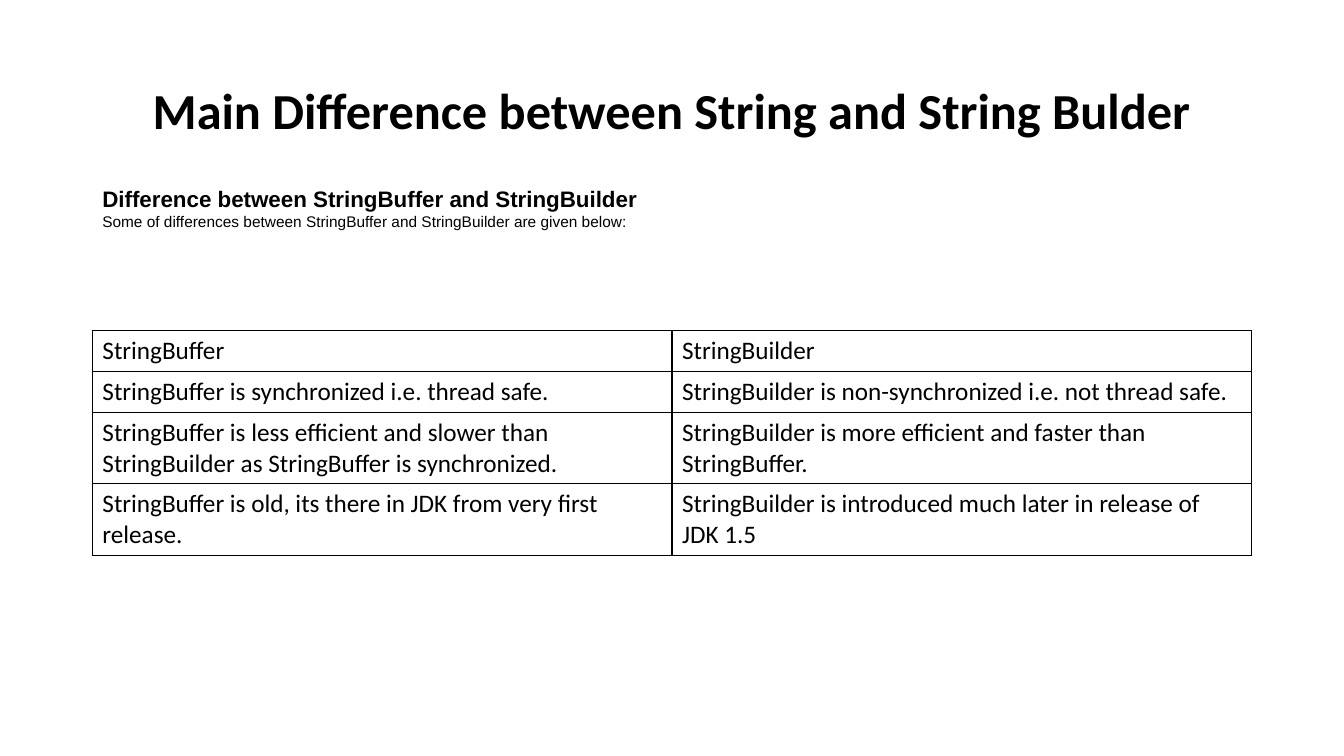
from lxml import etree
from pptx import Presentation
from pptx.dml.color import RGBColor
from pptx.enum import text
from pptx.oxml import ns
from pptx.util import Pt

COLORS = {"ink": "000000", "border": "000000"}
LEFT, WIDTH = 66, 828


def write(p, content, size=18, font="Calibri", bold=False, align=text.PP_ALIGN.LEFT, spacing=None):
    """Add one formatted run to a paragraph."""
    p.alignment = align
    p.line_spacing = spacing
    r = p.add_run()
    r.text = content
    r.font.size = Pt(size)
    r.font.name = font
    r.font.bold = bold
    r.font.color.rgb = RGBColor.from_string(COLORS["ink"])


def add_borders(cell, width=1):
    """Draw a solid line on all four sides of a table cell."""
    props = cell._tc.get_or_add_tcPr()
    for i, side in enumerate(("lnL", "lnR", "lnT", "lnB")):
        ln = etree.Element(ns.qn(f"a:{side}"), w=str(Pt(width)))
        fill = etree.SubElement(ln, ns.qn("a:solidFill"))
        etree.SubElement(fill, ns.qn("a:srgbClr"), val=COLORS["border"])
        props.insert(i, ln)


prs = Presentation()
prs.slide_width, prs.slide_height = Pt(960), Pt(540)
s = prs.slides.add_slide(prs.slide_layouts[6])

# Title
title = s.shapes.add_textbox(Pt(LEFT), Pt(28.8), Pt(WIDTH), Pt(104.4))
tf = title.text_frame
tf.word_wrap = True
tf.vertical_anchor = text.MSO_ANCHOR.MIDDLE
write(tf.paragraphs[0], "Main Difference between String and String Bulder",
      size=36, bold=True, align=text.PP_ALIGN.CENTER, spacing=0.9)

# Comparison table
rows = [
    ("StringBuffer", "StringBuilder"),
    ("StringBuffer is synchronized i.e. thread safe.",
     "StringBuilder is non-synchronized i.e. not thread safe."),
    ("StringBuffer is less efficient and slower than StringBuilder as StringBuffer is synchronized.",
     "StringBuilder is more efficient and faster than StringBuffer."),
    ("StringBuffer is old, its there in JDK from very first release.",
     "StringBuilder is introduced much later in release of JDK 1.5"),
]
heights = [29.2, 29.2, 51.2, 51.2]
frame = s.shapes.add_table(len(rows), 2, Pt(LEFT), Pt(236), Pt(WIDTH), Pt(sum(heights)))
table = frame.table
table.first_row = table.horz_banding = False
for row, height, contents in zip(table.rows, heights, rows):
    row.height = Pt(height)
    for cell, content in zip(row.cells, contents):
        cell.fill.background()
        cell.vertical_anchor = text.MSO_ANCHOR.MIDDLE
        add_borders(cell)
        write(cell.text_frame.paragraphs[0], content)

# Introduction
intro = s.shapes.add_textbox(Pt(LEFT), Pt(130.3), Pt(960), Pt(36))
tf = intro.text_frame
tf.word_wrap = False
tf.auto_size = text.MSO_AUTO_SIZE.SHAPE_TO_FIT_TEXT
tf.vertical_anchor = text.MSO_ANCHOR.MIDDLE
write(tf.paragraphs[0], "Difference between StringBuffer and StringBuilder",
      size=16, font="Arial", bold=True)
write(tf.add_paragraph(), "Some of differences between StringBuffer and StringBuilder are given below:",
      size=11, font="Arial")

prs.save("out.pptx")
